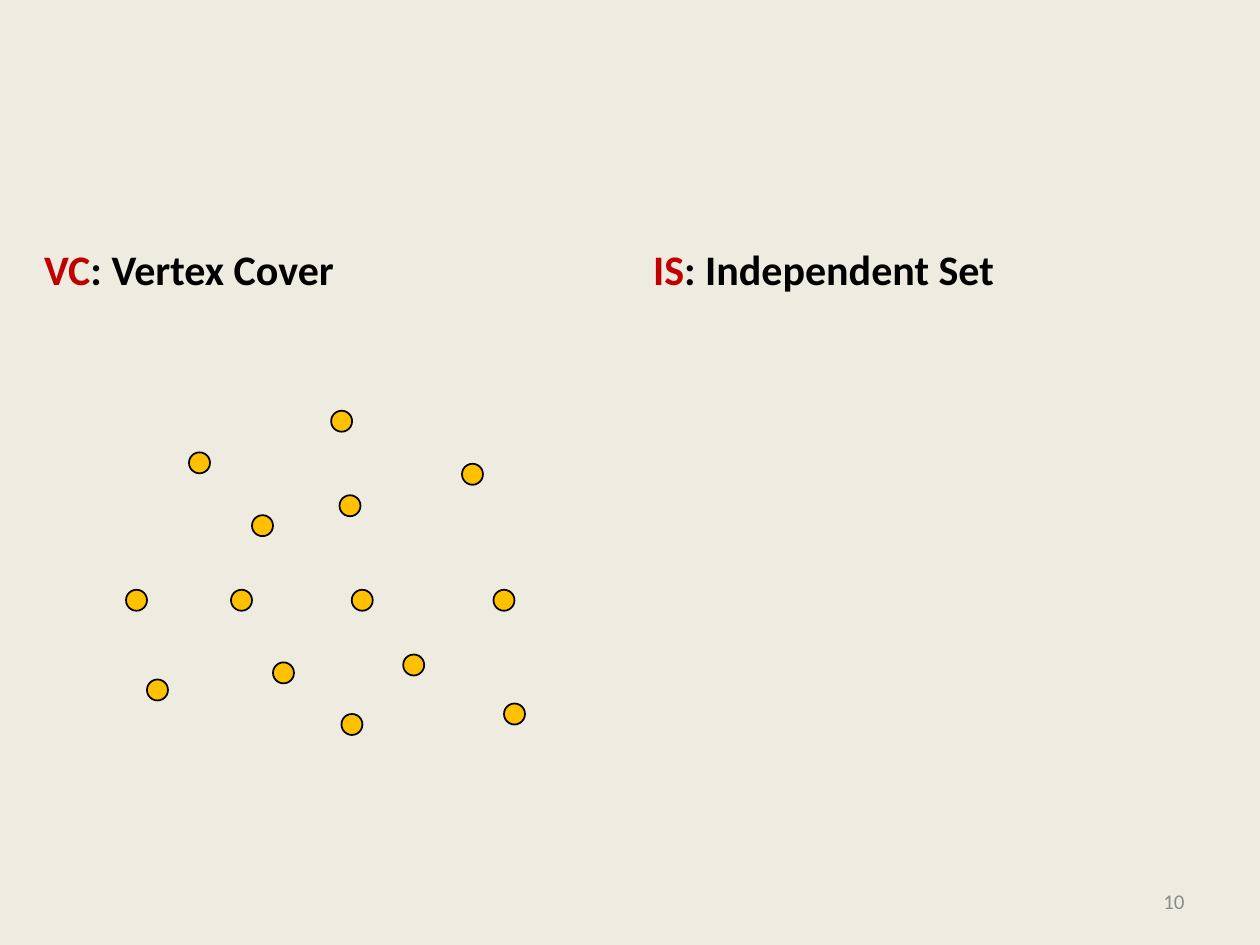
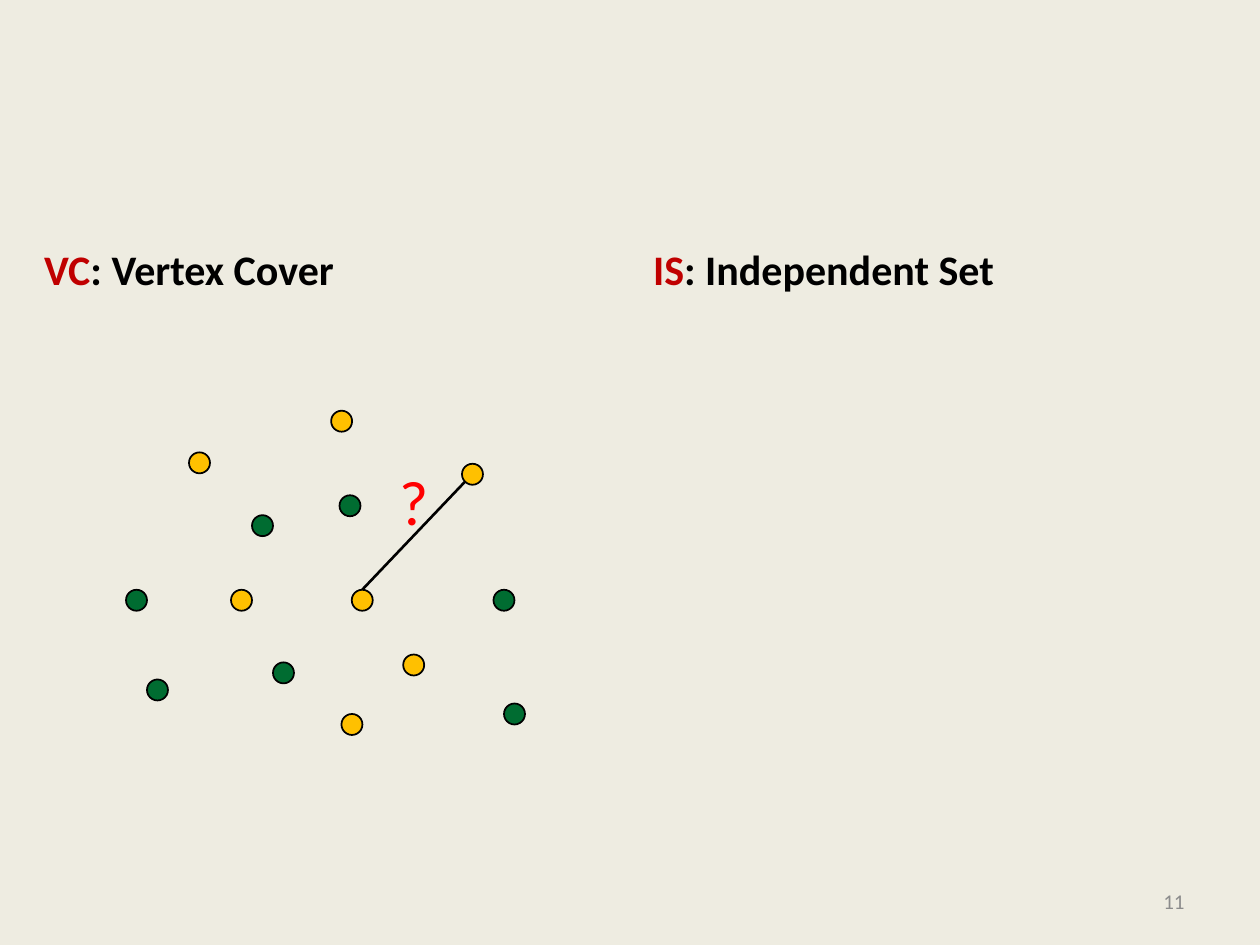
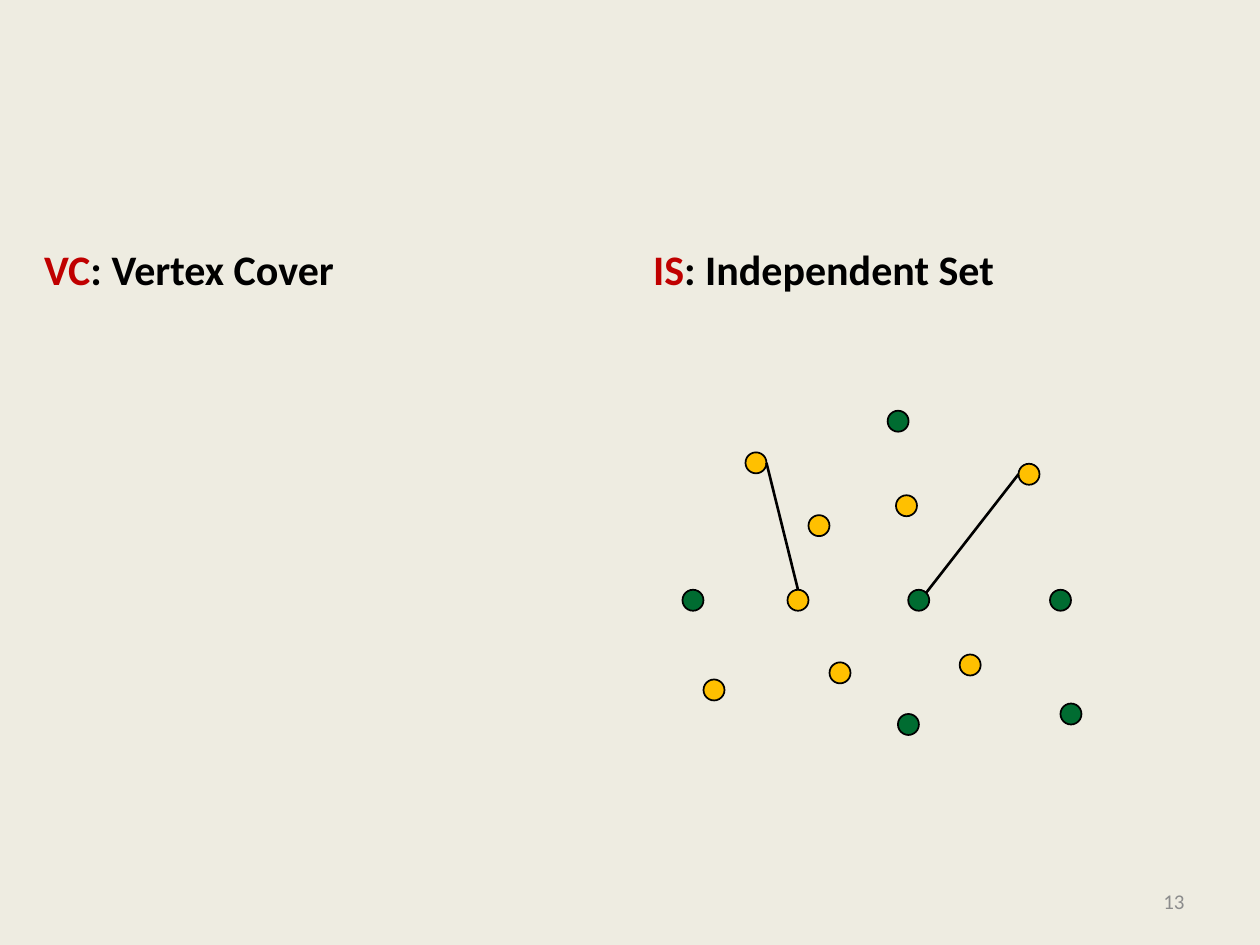
from math import cos, radians, sin

from pptx import Presentation
from pptx.dml.color import RGBColor
from pptx.enum.shapes import MSO_CONNECTOR, MSO_SHAPE
from pptx.enum.text import MSO_ANCHOR, MSO_AUTO_SIZE, PP_ALIGN
from pptx.oxml.ns import qn
from pptx.util import Pt

BLACK = RGBColor(0x00, 0x00, 0x00)
CREAM = RGBColor(0xEE, 0xEC, 0xE1)
CRIMSON = RGBColor(0xC0, 0x00, 0x00)
RED = RGBColor(0xFF, 0x00, 0x00)
GRAY = RGBColor(0x8C, 0x8C, 0x8C)
AMBER = RGBColor(0xFF, 0xC0, 0x00)
GREEN = RGBColor(0x00, 0x6C, 0x31)

FONT = "Calibri"
COMPARISON = 4
RADIUS = 6
RIGHT_SHIFT = 318

# Placeholder index, left edge, abbreviation, full name
HEADINGS = [
    (1, 18, "VC", "Vertex Cover"),
    (3, 366, "IS", "Independent Set"),
]

# Node centres on the left half of the slide
NODES = {
    "a": (114, 264.5), "b": (195.2, 240.7), "c": (138, 343), "d": (270, 271),
    "e": (200, 289), "f": (90, 394.3), "g": (294, 408), "h": (207, 343),
    "i": (201.1, 414), "j": (288, 343), "k": (78, 343), "l": (236.4, 380),
    "m": (150, 300.4), "n": (162, 384.5),
}

# Each edge end is a node and an angle on its rim, clockwise from the right
SLIDES = [
    {"number": 10, "shift": 0, "chosen": "", "edges": [], "question": False},
    {"number": 11, "shift": 0, "chosen": "efgjkmn", "question": True,
     "edges": [(("d", 135), ("h", 270))]},
    {"number": 13, "shift": RIGHT_SHIFT, "chosen": "bghijk", "question": False,
     "edges": [(("d", 180), ("h", 315)), (("c", 270), ("a", 0))]},
]


def add_run(p, text, size, color, bold=False):
    r = p.add_run()
    r.text = text
    for name, value in {"name": FONT, "size": Pt(size), "bold": bold}.items():
        setattr(r.font, name, value)
    r.font.color.rgb = color


def add_headings(slide):
    for idx, left, short, name in HEADINGS:
        sp = slide.placeholders[idx]
        box = {"left": left, "top": 121, "width": 318, "height": 50.4}
        for side, value in box.items():
            setattr(sp, side, Pt(value))
        tf = sp.text_frame
        tf.vertical_anchor = MSO_ANCHOR.BOTTOM
        p = tf.paragraphs[0]
        add_run(p, short, 24, CRIMSON, True)
        add_run(p, f": {name}", 24, BLACK, True)
    for sp in list(slide.placeholders):
        if not sp.text_frame.text:
            sp.element.getparent().remove(sp.element)


def add_text(slide, box, text, size, color, **frame):
    tf = slide.shapes.add_textbox(*map(Pt, box)).text_frame
    for name, value in frame.items():
        setattr(tf, name, value)
    p = tf.paragraphs[0]
    add_run(p, text, size, color)
    return p


def add_node(shapes, x, y, color):
    sp = shapes.add_shape(MSO_SHAPE.OVAL, Pt(x - RADIUS), Pt(y - RADIUS),
                          Pt(2 * RADIUS), Pt(2 * RADIUS))
    sp.shadow.inherit = False
    sp.fill.solid()
    sp.fill.fore_color.rgb = color
    sp.line.color.rgb = BLACK
    sp.line.width = Pt(1)


def rim_point(end, shift):
    node, angle = end
    x, y = NODES[node]
    a = radians(angle)
    return Pt(x + shift + RADIUS * cos(a)), Pt(y + RADIUS * sin(a))


def add_edge(slide, start, end, shift):
    line = slide.shapes.add_connector(
        MSO_CONNECTOR.STRAIGHT, *rim_point(start, shift), *rim_point(end, shift))
    line.line.color.rgb = BLACK
    line.line.width = Pt(1.5)
    sp_pr = line.element.spPr
    sp_pr.append(sp_pr.makeelement(qn("a:effectLst"), {}))


def add_graph(slide, chosen, edges, shift):
    """Draw the chosen nodes in green and group the others in amber."""
    others = slide.shapes.add_group_shape()
    for name, (x, y) in NODES.items():
        if name in chosen:
            add_node(slide.shapes, x + shift, y, GREEN)
        else:
            add_node(others.shapes, x + shift, y, AMBER)
    for start, end in edges:
        add_edge(slide, start, end, shift)


def main():
    prs = Presentation()
    prs.slide_width, prs.slide_height = Pt(720), Pt(540)
    fill = prs.slide_master.background.fill
    fill.solid()
    fill.fore_color.rgb = CREAM

    for item in SLIDES:
        slide = prs.slides.add_slide(prs.slide_layouts[COMPARISON])
        add_headings(slide)
        p = add_text(slide, (516, 500.5, 168, 28.75), str(item["number"]), 12,
                     GRAY, word_wrap=True, vertical_anchor=MSO_ANCHOR.MIDDLE)
        p.alignment = PP_ALIGN.RIGHT
        add_graph(slide, item["chosen"], item["edges"], item["shift"])
        if item["question"]:
            add_text(slide, (221, 260.6, 31.7, 51), "?", 36, RED,
                     word_wrap=False,
                     auto_size=MSO_AUTO_SIZE.SHAPE_TO_FIT_TEXT)

    prs.save("out.pptx")


if __name__ == "__main__":
    main()
